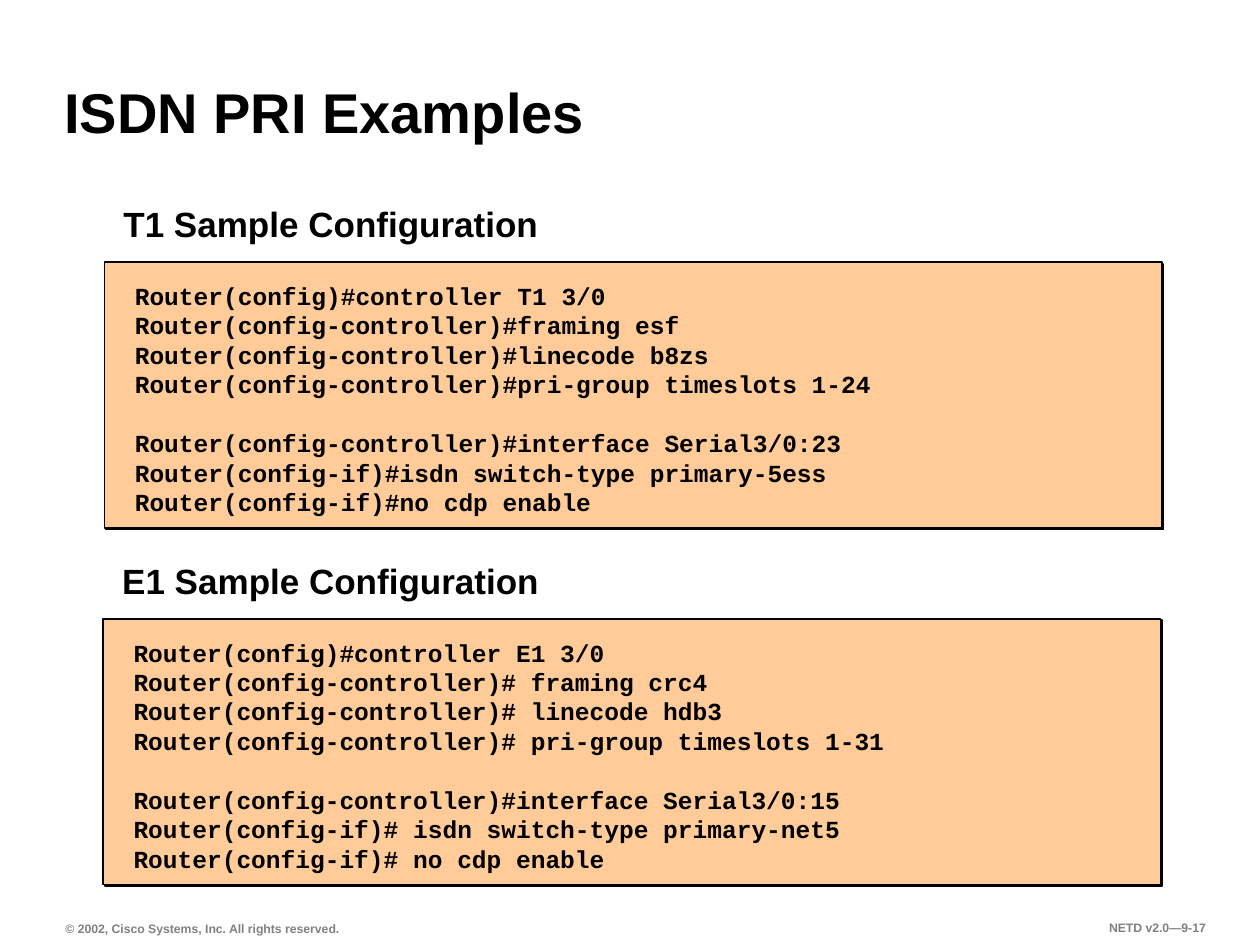
from lxml.etree import SubElement
from pptx import Presentation
from pptx.dml.color import RGBColor
from pptx.enum.shapes import MSO_SHAPE
from pptx.enum.text import MSO_ANCHOR, MSO_AUTO_SIZE, PP_ALIGN
from pptx.oxml.ns import qn
from pptx.util import Inches, Pt

HUES = {"ink": "000000", "note": "808080", "panel": "FFCC99"}
T1 = [
    "Router(config)#controller T1 3/0",
    "Router(config-controller)#framing esf",
    "Router(config-controller)#linecode b8zs",
    "Router(config-controller)#pri-group timeslots 1-24",
    "Router(config-controller)#interface Serial3/0:23",
    "Router(config-if)#isdn switch-type primary-5ess",
    "Router(config-if)#no cdp enable",
]
E1 = [
    "Router(config)#controller E1 3/0",
    "Router(config-controller)# framing crc4",
    "Router(config-controller)# linecode hdb3",
    "Router(config-controller)# pri-group timeslots 1-31",
    "Router(config-controller)#interface Serial3/0:15",
    "Router(config-if)# isdn switch-type primary-net5",
    "Router(config-if)# no cdp enable",
]
PITCH = Pt(16.8)


def color(name):
    """Return the named colour."""
    return RGBColor.from_string(HUES[name])


def style(frame, size, hue="ink", face="Arial", side=0.08):
    """Set the insets of a frame and the font of its runs."""
    frame.margin_left = frame.margin_right = Inches(side)
    frame.margin_top = frame.margin_bottom = Inches(0.04)
    for para in frame.paragraphs:
        for run in para.runs:
            run.font.name = face
            run.font.size = Pt(size)
            run.font.bold = True
            run.font.color.rgb = color(hue)


def add_title(slide, text):
    """Fill and place the title."""
    title = slide.shapes.title
    title.left, title.top = Inches(0.42), Inches(0.28)
    title.width, title.height = Inches(8.34), Inches(0.92)
    frame = title.text_frame
    frame.text = text
    frame.vertical_anchor = MSO_ANCHOR.BOTTOM
    frame.paragraphs[0].alignment = PP_ALIGN.LEFT
    frame.paragraphs[0].line_spacing = 0.9
    style(frame, 32, side=0.09)


def add_label(slide, text, left, top, width, height, size, hue="ink", side=0.08):
    """Add a line of text that does not wrap."""
    box = slide.shapes.add_textbox(
        Inches(left), Inches(top), Inches(width), Inches(height))
    frame = box.text_frame
    frame.text = text
    frame.word_wrap = False
    frame.auto_size = MSO_AUTO_SIZE.SHAPE_TO_FIT_TEXT
    style(frame, size, hue, side=side)
    return frame


def add_panel(slide, left, top):
    """Add a filled panel with a hard shadow."""
    panel = slide.shapes.add_shape(
        MSO_SHAPE.RECTANGLE, Inches(left), Inches(top), Inches(8.39), Inches(2.11))
    panel.fill.solid()
    panel.fill.fore_color.rgb = color("panel")
    panel.line.color.rgb = color("ink")
    panel.line.width = Pt(1)
    panel.shadow.inherit = False
    effects = panel._element.spPr.find(qn("a:effectLst"))
    shade = SubElement(effects, qn("a:outerShdw"), dist=str(Pt(1.4)),
                       dir="2700000", algn="ctr", rotWithShape="0")
    SubElement(shade, qn("a:srgbClr"), val=HUES["ink"])


def add_code(slide, lines, left, top):
    """Add code lines with a gap before the interface part."""
    box = slide.shapes.add_textbox(
        Inches(left), Inches(top), Inches(8.82), Inches(1.95))
    frame = box.text_frame
    frame.text = "\n".join(lines)
    frame.word_wrap = True
    style(frame, 14, face="Courier New")
    for para in frame.paragraphs:
        para.line_spacing = PITCH
    frame.paragraphs[4].space_before = PITCH


def add_sample(slide, name, lines, left, top):
    """Add a heading, its panel and its code."""
    add_panel(slide, left, top)
    add_code(slide, lines, left + 0.16, top + 0.11)
    add_label(slide, f"{name} Sample Configuration",
              left + 0.07, top - 0.51, 3.47, 0.41, 20)


def main():
    """Build and save the slide."""
    deck = Presentation()
    deck.slide_width, deck.slide_height = Inches(10), Inches(7.5)
    slide = deck.slides.add_slide(deck.slide_layouts[5])
    add_title(slide, "ISDN PRI Examples")
    add_sample(slide, "T1", T1, 0.83, 2.08)
    add_sample(slide, "E1", E1, 0.82, 4.91)
    left = add_label(slide, "© 2002, Cisco Systems, Inc. All rights reserved.",
                     0.43, 7.26, 2.36, 0.21, 7, "note", 0.09)
    left.vertical_anchor = MSO_ANCHOR.BOTTOM
    right = add_label(slide, "NETD v2.0—9-17", 8.34, 7.26, 1.32, 0.21, 7, "note", 0.09)
    right.paragraphs[0].alignment = PP_ALIGN.RIGHT
    deck.save("out.pptx")


if __name__ == "__main__":
    main()
